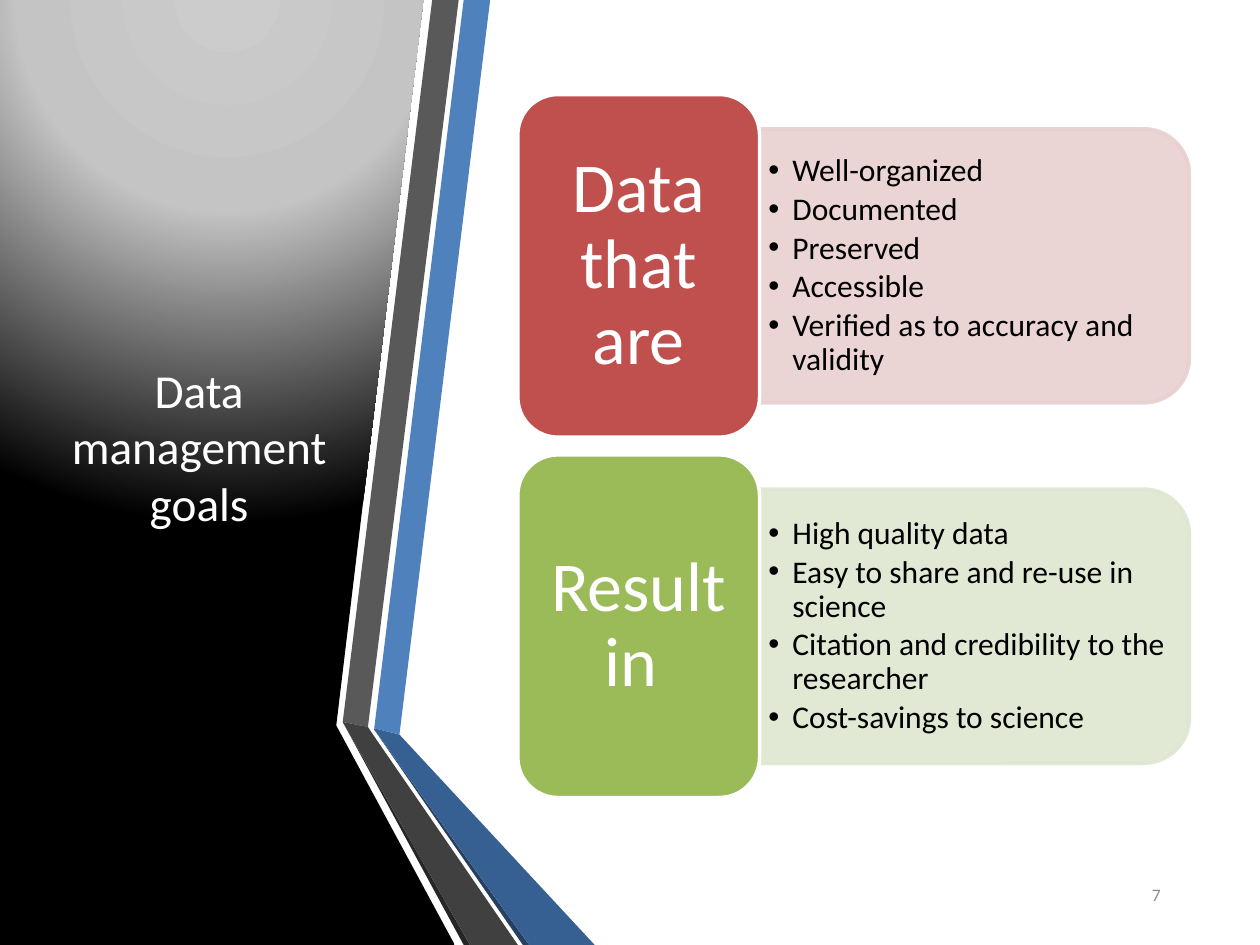
from dataclasses import dataclass

from lxml.etree import SubElement
from pptx import Presentation
from pptx.dml.color import RGBColor
from pptx.enum.shapes import MSO_SHAPE
from pptx.enum.text import MSO_ANCHOR, PP_ALIGN
from pptx.oxml import parse_xml
from pptx.oxml.ns import nsdecls, qn
from pptx.util import Inches, Pt


@dataclass(frozen=True)
class Theme:
    """Colours, font and type sizes of the slide."""
    face: str = "Calibri"
    white: str = "FFFFFF"
    black: str = "000000"
    grey: str = "8C8C8C"
    red: str = "C0504D"
    pink: str = "E8D0D0"
    green: str = "9BBB59"
    mint: str = "DEE7D1"
    glow: tuple = ((0, "CCCCCC"), (40, "C4C4C4"), (100, "000000"))
    title: int = 27
    label: int = 40
    item: int = 18
    page: int = 10


LOOK = Theme()

BACK = [(0, 0), (2.64, 0), (3.36, 0), (2.67, 5.75), (2.67, 5.76), (3.61, 7.5), (0, 7.5)]

BANDS = [
    ("4F81BD", [(2.97, 5.78), (3.17, 5.83), (3.89, 0), (3.68, 0)]),
    ("595959", [(3.64, 0), (3.43, 0), (2.72, 5.73), (2.92, 5.77)]),
    ("262626", [(2.72, 5.73), (3.68, 7.5), (3.73, 7.5)]),
    ("254061", [(2.97, 5.79), (4.15, 7.5), (4.2, 7.5)]),
    ("376092", [(2.97, 5.79), (4.2, 7.5), (4.72, 7.5), (3.17, 5.83), (2.97, 5.78)]),
    ("404040", [(4.11, 7.5), (2.96, 5.83), (2.92, 5.77), (2.72, 5.73), (3.73, 7.5)]),
]

CARDS = [
    ("Data that are", LOOK.red, LOOK.pink,
     ["Well-organized", "Documented", "Preserved", "Accessible",
      "Verified as to accuracy and validity"]),
    ("Result in ", LOOK.green, LOOK.mint,
     ["High quality data", "Easy to share and re-use in science",
      "Citation and credibility to the researcher", "Cost-savings to science"]),
]


def put(item, **vals):
    """Set each given value as an attribute of the item."""
    for key, val in vals.items():
        setattr(item, key, val)


def fade(shape, share):
    """Give the fill and line of a shape an opacity in percent."""
    for tint in list(shape._element.spPr.iter(qn("a:srgbClr"))):
        SubElement(tint, qn("a:alpha"), val=str(share * 1000))


def paint(shape, color, edge=None):
    """Fill a shape, outline it or not, and drop its shadow."""
    shape.shadow.inherit = False
    shape.fill.solid()
    shape.fill.fore_color.rgb = RGBColor.from_string(color)
    shape.line.fill.background()
    if edge:
        shape.line.fill.solid()
        shape.line.fill.fore_color.rgb = RGBColor.from_string(edge)
        shape.line.width = Pt(2)


def write(shape, lines, size, color, pad=(0.1, 0.05), bullet=False, **form):
    """Write paragraphs in the middle of a shape."""
    frame = shape.text_frame
    wide, high = map(Inches, pad)
    put(frame, word_wrap=True, vertical_anchor=MSO_ANCHOR.MIDDLE,
        margin_left=wide, margin_right=wide, margin_top=high, margin_bottom=high)
    for num, line in enumerate(lines):
        para = frame.add_paragraph() if num else frame.paragraphs[0]
        run = para.add_run()
        run.text = line
        put(para, **form)
        if bullet:
            prop = para._p.get_or_add_pPr()
            hang = Inches(0.19)
            prop.set("marL", str(int(hang)))
            prop.set("indent", str(-hang))
            SubElement(prop, qn("a:buFont"), typeface="Arial")
            SubElement(prop, qn("a:buChar"), char="•")
        put(run.font, name=LOOK.face, size=Pt(size))
        run.font.color.rgb = RGBColor.from_string(color)


def text(slide, box, *args, **form):
    """Add a text box and write in it."""
    write(slide.shapes.add_textbox(*map(Inches, box)), *args, **form)


def trace(slide, points, color):
    """Draw a closed outline through points given in inches."""
    spots = [(Inches(x), Inches(y)) for x, y in points]
    pen = slide.shapes.build_freeform(*spots[0])
    pen.add_line_segments(spots[1:], close=True)
    shape = pen.convert_to_shape()
    paint(shape, color)
    return shape


def glow(shape):
    """Fill a shape with the round light that falls from its top."""
    stops = "".join(f'<a:gs pos="{pos * 1000}"><a:srgbClr val="{tone}"/></a:gs>'
                    for pos, tone in LOOK.glow)
    prop = shape._element.spPr
    prop.replace(prop.find(qn("a:solidFill")), parse_xml(
        f'<a:gradFill {nsdecls("a")} rotWithShape="1"><a:gsLst>{stops}</a:gsLst>'
        '<a:path path="circle"><a:fillToRect l="50000" t="-80000" r="50000" b="180000"/>'
        '</a:path></a:gradFill>'))


def side(slide, box):
    """Draw the dark side with its bands and the title in the box."""
    glow(trace(slide, BACK, LOOK.black))
    for color, points in BANDS:
        trace(slide, points, color)
    text(slide, box, ["Data management goals"], LOOK.title, LOOK.white,
         alignment=PP_ALIGN.CENTER)


def card(slide, box, label, dark, pale, items):
    """Place a label and its panel of bullets in the box."""
    left, top, wide, high = box
    tab = 0.36 * wide
    long, tall = wide - tab, 0.8 * high
    mid = left + tab + long / 2, top + high / 2
    spot = mid[0] - tall / 2, mid[1] - long / 2, tall, long
    panel = slide.shapes.add_shape(MSO_SHAPE.ROUND_2_SAME_RECTANGLE, *map(Inches, spot))
    panel.rotation = 90
    paint(panel, pale, pale)
    fade(panel, 90)
    inner = 1.97
    text(slide, (left + tab, mid[1] - inner / 2, long - 0.11, inner), items,
         LOOK.item, LOOK.black, pad=(0.07, 0.04), bullet=True,
         line_spacing=0.9, space_after=Pt(2.7))
    head = slide.shapes.add_shape(MSO_SHAPE.ROUNDED_RECTANGLE,
                                  *map(Inches, (left, top, tab, high)))
    paint(head, dark, LOOK.white)
    write(head, [label], LOOK.label, LOOK.white, pad=(0.17, 0.08),
          alignment=PP_ALIGN.CENTER, line_spacing=0.9)


def main():
    """Build the slide and save it."""
    deck = Presentation()
    put(deck, slide_width=Inches(10), slide_height=Inches(7.5))
    slide = deck.slides.add_slide(deck.slide_layouts[6])
    side(slide, (0.44, 0.75, 2.28, 5.58))
    text(slide, (8.42, 6.9, 0.89, 0.4), ["7"], LOOK.page, LOOK.grey,
         alignment=PP_ALIGN.RIGHT)
    for num, parts in enumerate(CARDS):
        card(slide, (4.11, 0.75 + 2.86 * num, 5.33, 2.72), *parts)
    deck.save("out.pptx")


if __name__ == "__main__":
    main()
